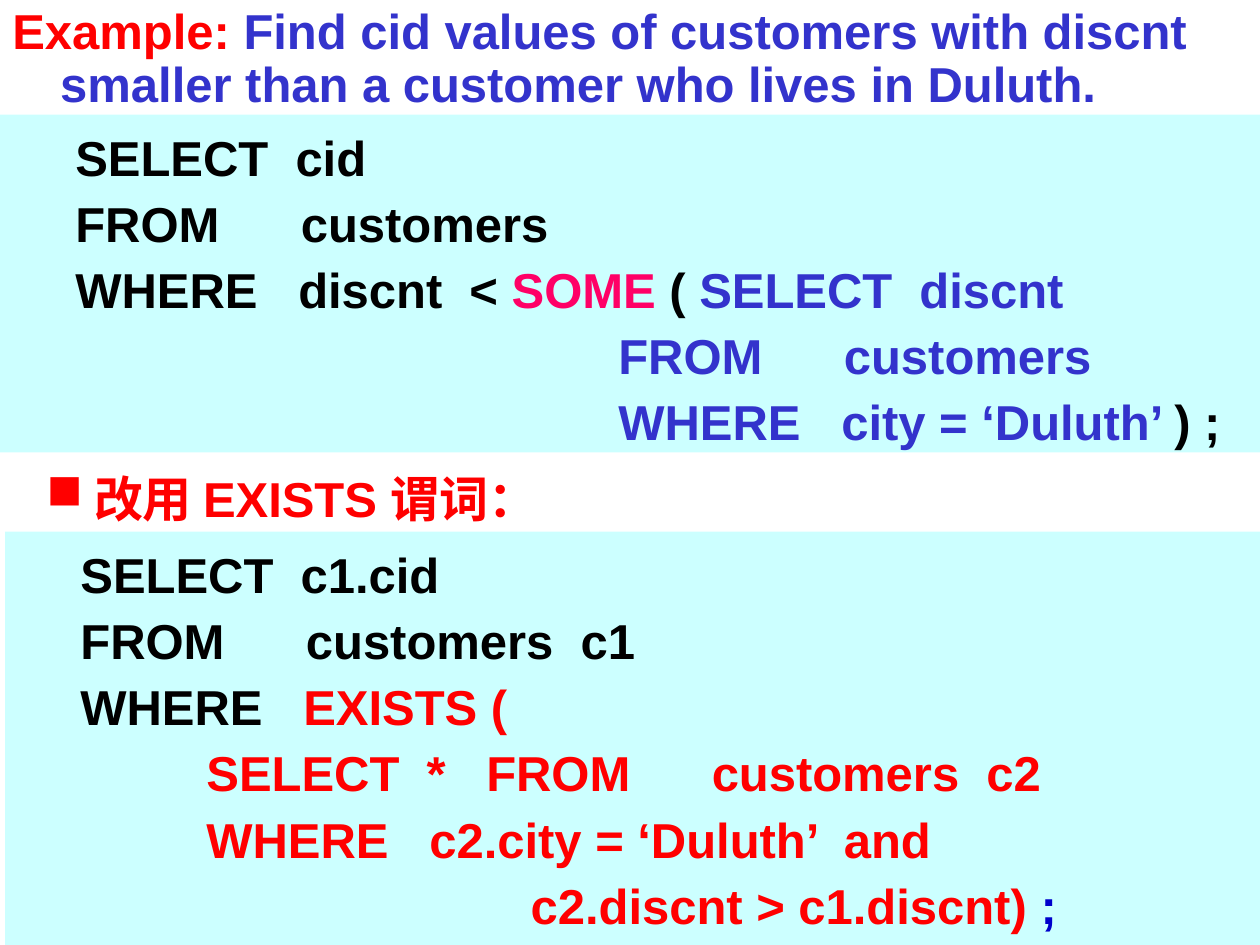
from typing import NamedTuple

from pptx import Presentation
from pptx import util as u
from pptx.dml.color import RGBColor
from pptx.enum import shapes, text
from pptx.oxml import parse_xml
from pptx.oxml.ns import nsdecls

RED = RGBColor(0xFF, 0x00, 0x00)
PINK = RGBColor(0xFF, 0x00, 0x66)
BLUE = RGBColor(0x33, 0x33, 0xCC)
NAVY = RGBColor(0x00, 0x00, 0xCC)
BLACK = RGBColor(0x00, 0x00, 0x00)
PALE_CYAN = RGBColor(0xCC, 0xFF, 0xFF)


class Area(NamedTuple):
    left: float
    top: float
    width: float
    height: float


class Piece(NamedTuple):
    words: str
    color: RGBColor = BLACK


class Indent(NamedTuple):
    left: float = 0
    first: float = 0


class Line(NamedTuple):
    pieces: list[Piece]
    indent: Indent = Indent()
    level: int = 0
    bullet: str = ""
    spacing: float = 1.0


OUTER = Indent(0.81, -0.31)
INNER = Indent(1.75, -0.25)


def outer(*pieces: Piece) -> Line:
    return Line(list(pieces), OUTER, 1)


def inner(*pieces: Piece) -> Line:
    return Line(list(pieces), INNER, 3)


def write_lines(frame, lines: list[Line], margin_top: float = 0.05) -> None:
    frame.word_wrap = True
    frame.vertical_anchor = text.MSO_ANCHOR.TOP
    frame.margin_top = u.Inches(margin_top)
    for number, line in enumerate(lines):
        paragraph = frame.add_paragraph() if number else frame.paragraphs[0]
        paragraph.alignment = text.PP_ALIGN.LEFT
        paragraph.level = line.level
        paragraph.line_spacing = line.spacing
        paragraph.space_before = u.Pt(4.2 if number else 0)
        properties = paragraph._p.get_or_add_pPr()
        properties.set("marL", str(u.Inches(line.indent.left)))
        properties.set("indent", str(u.Inches(line.indent.first)))
        properties.set("defTabSz", str(u.Inches(1)))
        if line.bullet:
            properties.append(parse_xml(
                f'<a:buChar {nsdecls("a")} char="{line.bullet}"/>'))
        for piece in line.pieces:
            run = paragraph.add_run()
            run.text = piece.words
            run.font.name = "Arial"
            run.font.size = u.Pt(28)
            run.font.bold = True
            run.font.color.rgb = piece.color


def add_caption(slide, area: Area, line: Line, margin_top: float) -> None:
    box = slide.shapes.add_textbox(*map(u.Inches, area))
    write_lines(box.text_frame, [line], margin_top)


def add_query(slide, area: Area, lines: list[Line]) -> None:
    panel = slide.shapes.add_shape(
        shapes.MSO_SHAPE.RECTANGLE, *map(u.Inches, area))
    panel.shadow.inherit = False
    panel.fill.solid()
    panel.fill.fore_color.rgb = PALE_CYAN
    panel.line.fill.background()
    write_lines(panel.text_frame, lines, 0.1)


SOME_QUERY = [
    outer(Piece("SELECT  cid")),
    outer(Piece("FROM      customers")),
    outer(Piece("WHERE   discnt  < "), Piece("SOME ", PINK),
          Piece("( "), Piece("SELECT  discnt", BLUE)),
    outer(Piece("\t\t\t\t\tFROM      customers", BLUE)),
    outer(Piece("\t\t\t\t\tWHERE   city = ‘Duluth’ ", BLUE), Piece(") ;")),
]

EXISTS_QUERY = [
    outer(Piece("SELECT  c1.cid")),
    outer(Piece("FROM      customers  c1")),
    outer(Piece("WHERE   "), Piece("EXISTS (", RED)),
    inner(Piece("SELECT  *   FROM      customers  c2", RED)),
    inner(Piece("WHERE   c2.city = ‘Duluth’  and", RED)),
    inner(Piece("\t\t\t   c2.discnt > c1.discnt)", RED), Piece(" ;", NAVY)),
]


def main() -> None:
    deck = Presentation()
    deck.slide_width, deck.slide_height = u.Inches(10), u.Inches(7.5)
    slide = deck.slides.add_slide(deck.slide_layouts[6])

    # Heading of the second query
    add_caption(slide, Area(0.27, 3.67, 8.98, 0.57),
                Line([Piece(" 改用 EXISTS 谓词：", RED)], bullet="■"), 0.05)

    # Task
    task = [Piece("Example: ", RED),
            Piece("Find cid values of customers with discnt smaller than "
                  "a customer who lives in Duluth.", BLUE)]
    add_caption(slide, Area(0, -0.03, 10, 0.94),
                Line(task, Indent(0.38, -0.38), spacing=0.9), 0.09)

    # Queries
    add_query(slide, Area(0, 0.91, 10, 2.68), SOME_QUERY)
    add_query(slide, Area(0.04, 4.22, 10, 3.28), EXISTS_QUERY)

    deck.save("out.pptx")


if __name__ == "__main__":
    main()
